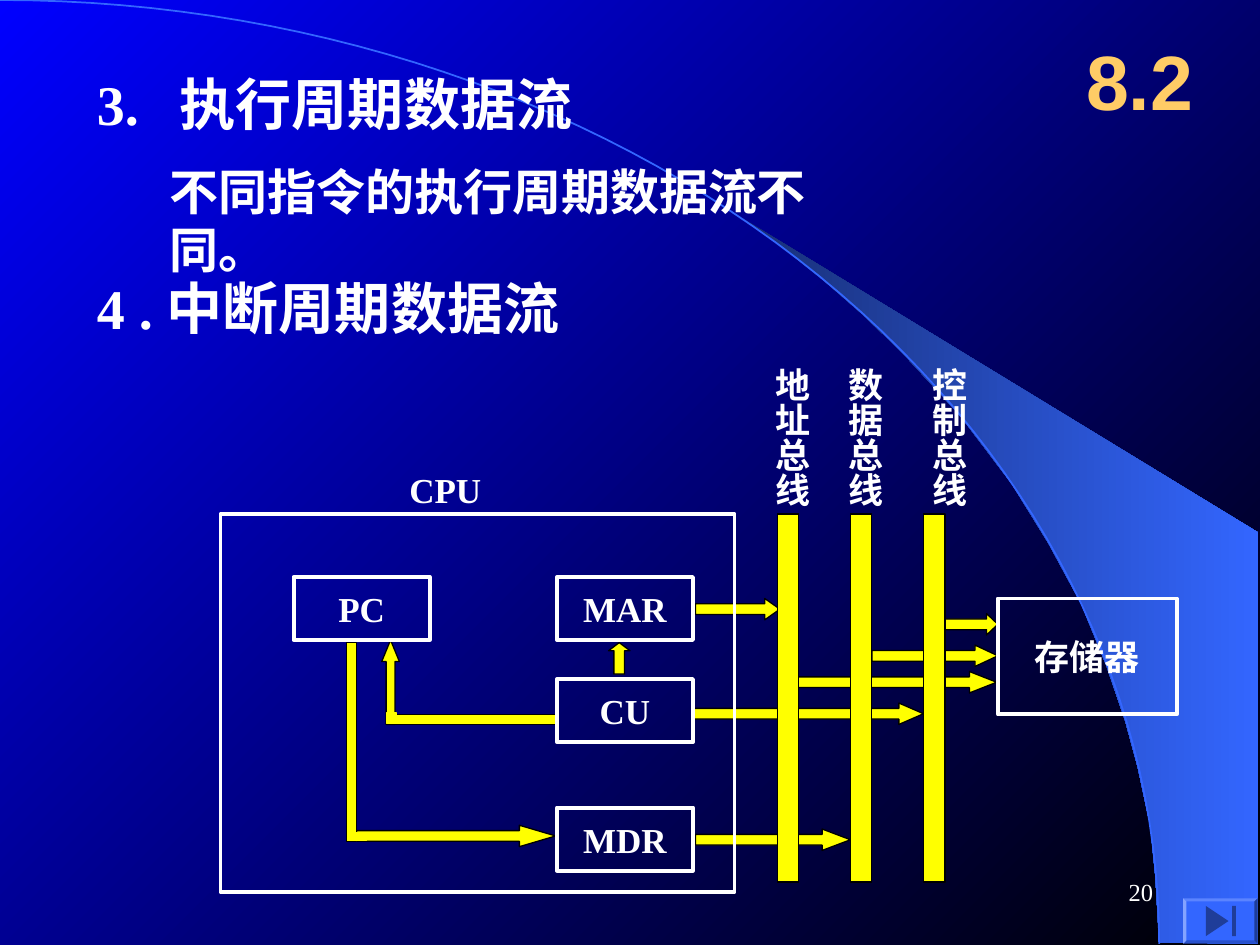
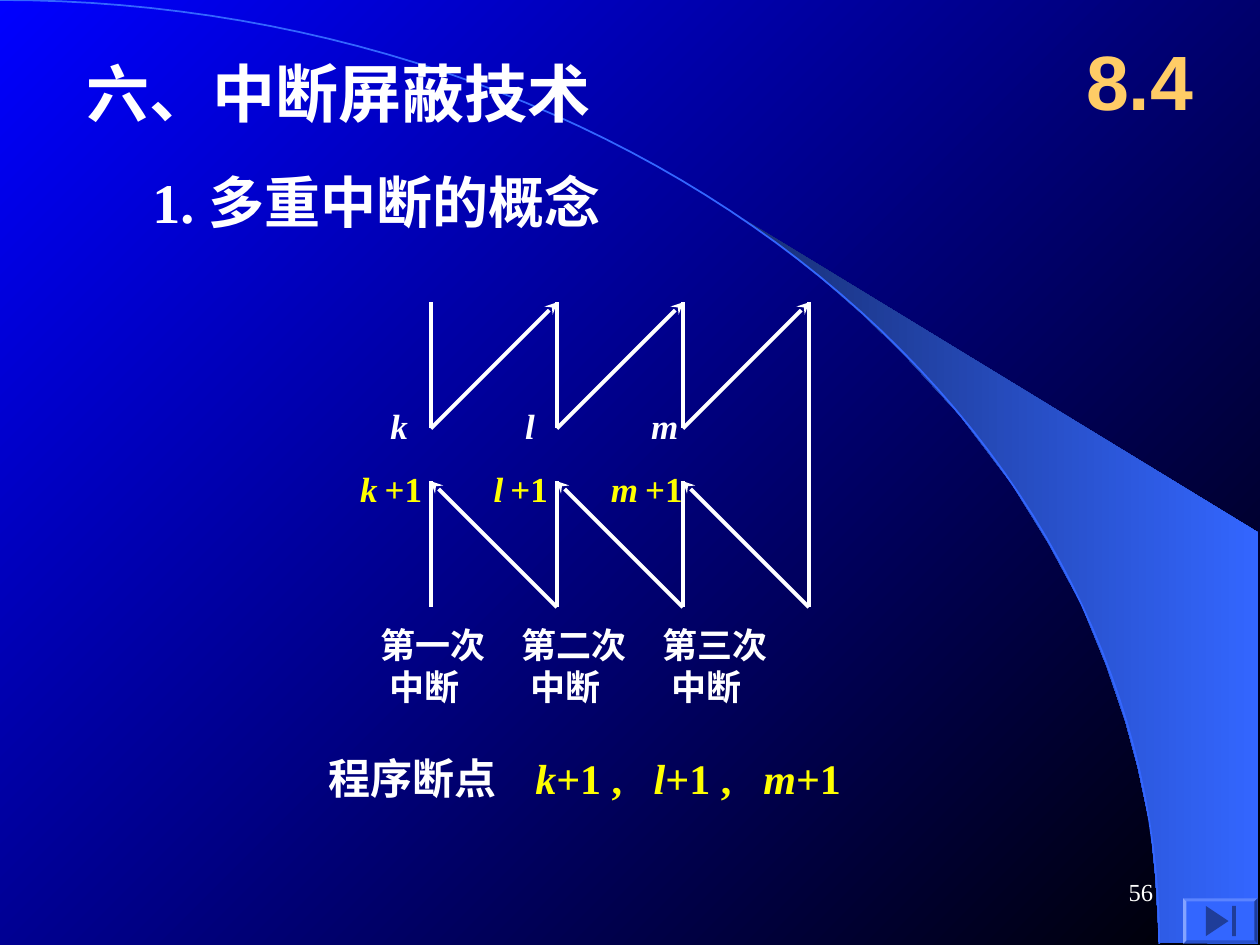
import math
from dataclasses import dataclass

from lxml import etree
from pptx import Presentation
from pptx import util as u
from pptx.dml import color as dml_color
from pptx.enum import shapes, text
from pptx.oxml import ns

COLORS = {
    "white": "FFFFFF", "yellow": "FFFF00", "black": "000000", "gold": "FFCC66",
    "blue": "0000FF", "band": "3366FF", "band_dark": "182F76", "icon": "1F3D99",
}
HEADING = {"size": 32, "bold": True}
SUBHEADING = {"size": 28, "bold": True}
SECTION = {"size": 36, "bold": True}
LABEL = {"size": 20, "bold": True}
VARIABLE = {**LABEL, "italic": True}
SUMMARY = {"size": 24, "bold": True}
PAGE = {"size": 14}
NUMBER = {"name": "Arial", "size": 44, "bold": True, "color": "gold"}
CENTERED = {"vertical_anchor": text.MSO_ANCHOR.MIDDLE, "word_wrap": True}
FITTED = {"word_wrap": False, "auto_size": text.MSO_AUTO_SIZE.SHAPE_TO_FIT_TEXT}
VERTICAL = {**FITTED, "margin_left": u.Inches(0.05), "margin_right": u.Inches(0.05),
            "margin_top": u.Inches(0.1), "margin_bottom": u.Inches(0.1)}
RECTANGLE = shapes.MSO_SHAPE.RECTANGLE
RIGHT = shapes.MSO_SHAPE.RIGHT_ARROW
UP = shapes.MSO_SHAPE.UP_ARROW


@dataclass
class Box:
    left: float
    top: float

    def point(self, x, y):
        return u.Inches(self.left + x), u.Inches(self.top + y)

    def area(self, x, y, width, height):
        return *self.point(x, y), u.Inches(width), u.Inches(height)


PAGE_BOX = Box(0, 0)


def rgb(name):
    return dml_color.RGBColor.from_string(COLORS[name])


def set_attributes(target, values):
    for name, value in values.items():
        setattr(target, name, value)


def write_runs(paragraph, runs, style):
    for content, changes in runs:
        run = paragraph.add_run()
        run.text = content
        values = {"name": "Times New Roman", "color": "white", **style, **changes}
        run.font.color.rgb = rgb(values.pop("color"))
        values["size"] = u.Pt(values["size"])
        set_attributes(run.font, values)


def write_line(frame, content, style, align=None):
    paragraph = frame.paragraphs[0]
    paragraph.alignment = align
    write_runs(paragraph, [(content, {})], style)


def set_tabs(paragraph, positions):
    tabs = etree.SubElement(paragraph._p.get_or_add_pPr(), ns.qn("a:tabLst"))
    for position in positions:
        etree.SubElement(tabs, ns.qn("a:tab"), pos=str(u.Inches(position)), algn="l")


def add_text_box(slide, area, frame_values):
    frame = slide.shapes.add_textbox(*area).text_frame
    set_attributes(frame, frame_values)
    return frame


def add_label(slide, area, content, style, frame_values=FITTED, align=None):
    frame = add_text_box(slide, area, frame_values)
    write_line(frame, content, style, align)
    return frame


def paint(shape, fill=None, line=None, width=0.75):
    shape.shadow.inherit = False
    if fill:
        shape.fill.solid()
        shape.fill.fore_color.rgb = rgb(fill)
    else:
        shape.fill.background()
    if line:
        shape.line.color.rgb = rgb(line)
        shape.line.width = u.Pt(width)
    else:
        shape.line.fill.background()


def apply_gradient(fill, names, angle):
    fill.gradient()
    fill.gradient_angle = angle
    for stop, name in zip(fill.gradient_stops, names):
        stop.color.rgb = rgb(name)


def add_outline(slide, points, close=True):
    corners = [PAGE_BOX.point(x, y) for x, y in points]
    builder = slide.shapes.build_freeform(*corners[0])
    builder.add_line_segments(corners[1:], close=close)
    return builder.convert_to_shape()


def add_bar(slide, area, line="black"):
    bar = slide.shapes.add_shape(RECTANGLE, *area)
    paint(bar, "yellow", line)


def add_arrow(slide, kind, area, head):
    arrow = slide.shapes.add_shape(kind, *area)
    arrow.adjustments[1] = head
    paint(arrow, "yellow", "black")


def add_frame(slide, area, content=""):
    shape = slide.shapes.add_shape(RECTANGLE, *area)
    paint(shape, line="white", width=2.25)
    if content:
        set_attributes(shape.text_frame, {**CENTERED, "word_wrap": False})
        write_line(shape.text_frame, content, LABEL, text.PP_ALIGN.CENTER)


def add_line(slide, start, end, arrow=False):
    line = slide.shapes.add_connector(shapes.MSO_CONNECTOR.STRAIGHT, *start, *end)
    line.line.color.rgb = rgb("white")
    line.line.width = u.Pt(2.25)
    if arrow:
        etree.SubElement(line.line._get_or_add_ln(), ns.qn("a:tailEnd"), type="stealth")
    etree.SubElement(line._element.spPr, ns.qn("a:effectLst"))


def decorate_master(master, slide):
    apply_gradient(master.background.fill, ("blue", "black"), 315)
    wedge = add_outline(slide, [
        (9.2, 7.48), (9.99, 7.49), (9.99, 4.23), (5.89, 1.73), (6.24, 1.99),
        (6.53, 2.22), (6.85, 2.5), (7.16, 2.8), (7.62, 3.3), (8.03, 3.84),
        (8.32, 4.31), (8.58, 4.79), (8.78, 5.28), (8.93, 5.72), (9.03, 6.09),
        (9.13, 6.56), (9.17, 6.96)])
    paint(wedge)
    apply_gradient(wedge.fill, ("band_dark", "band"), 0)

    steps = 60
    angles = [math.pi / 2 * step / steps for step in range(steps + 1)]
    arc = add_outline(slide, [(9.2 * math.sin(angle), 7.49 * (1 - math.cos(angle)))
                              for angle in angles], close=False)
    paint(arc, line="band", width=1)

    button = slide.shapes.add_shape(shapes.MSO_SHAPE.BEVEL,
                                    *PAGE_BOX.area(9.39, 7.13, 0.59, 0.36))
    button.adjustments[0] = 0.07
    paint(button, "band")
    triangle = add_outline(slide, [(9.75, 7.31), (9.57, 7.43), (9.57, 7.19)])
    stop = slide.shapes.add_shape(RECTANGLE, *PAGE_BOX.area(9.78, 7.19, 0.03, 0.24))
    for icon in (triangle, stop):
        paint(icon, "icon")
    for position, shape in enumerate((wedge, arc, button, triangle, stop), start=2):
        master.shapes.element.insert(position, shape._element)


def add_numbers(slide, section, page):
    title = slide.shapes.title
    area = PAGE_BOX.area(8.42, 0.17, 1.25, 0.92)
    set_attributes(title, dict(zip(("left", "top", "width", "height"), area)))
    set_attributes(title.text_frame, CENTERED)
    write_line(title.text_frame, section, NUMBER, text.PP_ALIGN.CENTER)
    add_label(slide, PAGE_BOX.area(7.17, 6.83, 2.08, 0.5), page, PAGE,
              CENTERED, text.PP_ALIGN.RIGHT)


def add_cycle_headings(slide, box):
    for x, y, width, height, content, style in (
            (0, 0, 6.25, 0.64, "3.\t执行周期数据流", HEADING),
            (0.58, 0.73, 5.5, 0.57, "不同指令的执行周期数据流不同。", SUBHEADING),
            (0, 1.62, 6.25, 0.64, "4 . 中断周期数据流", HEADING)):
        frame = add_label(slide, box.area(x, y, width, height), content, style,
                          {"word_wrap": True})
        if "\t" in content:
            set_tabs(frame.paragraphs[0], [0.66])


def add_cpu_diagram(slide, box):
    for x, y, length, head in (
            (3.77, 1.88, 0.67, 0.71), (1.08, 3.68, 1.58, 1.69),
            (3.77, 3.71, 1.23, 1.32), (5.17, 2.25, 1, 1.07),
            (3.75, 2.71, 1.83, 1.15), (4.58, 2.46, 1.58, 1.27),
            (5.67, 2, 0.5, 0.53)):
        add_arrow(slide, RIGHT, box.area(x, y, length, 0.17), head)
    add_arrow(slide, UP, box.area(1.28, 2.21, 0.14, 0.67), 1.22)
    add_arrow(slide, UP, box.area(3.08, 2.23, 0.17, 0.25), 0.38)
    for bend in ((1, 2.23, 0.08, 1.58), (1.36, 2.8, 1.3, 0.08)):
        add_bar(slide, box.area(*bend))
    for joint in ((1.06, 3.74, 0.1, 0.06), (4.55, 2.52, 0.08, 0.05),
                  (1.32, 2.79, 0.08, 0.08)):
        add_bar(slide, box.area(*joint), "yellow")

    for x, y, register in ((0.58, 1.71, "PC"), (2.67, 1.71, "MAR"),
                           (2.67, 2.52, "CU"), (2.67, 3.54, "MDR")):
        add_frame(slide, box.area(x, y, 1.08, 0.5), register)
    add_frame(slide, box.area(6.17, 1.88, 1.42, 0.92), "存储器")
    for index, (label_x, bus) in enumerate(
            ((4.22, "地址总线"), (4.8, "数据总线"), (5.47, "控制总线"))):
        add_bar(slide, box.area(4.42 + 0.58 * index, 1.21, 0.17, 2.92))
        frame = add_label(slide, box.area(label_x, -0.05, 0.53, 1.22), bus, LABEL,
                          VERTICAL)
        frame._txBody.bodyPr.set("vert", "eaVert")
    add_frame(slide, box.area(0, 1.21, 4.08, 3))
    add_label(slide, box.area(1.4, 0.8, 0.77, 0.44), "CPU", LABEL)


def add_interrupt_headings(slide, box):
    add_label(slide, box.area(0, 0, 4.2, 0.7), "六、中断屏蔽技术", SECTION)
    margins = dict.fromkeys(
        ("margin_left", "margin_right", "margin_top", "margin_bottom"), 0)
    add_label(slide, box.area(0.62, 0.98, 4.5, 0.47), "1. 多重中断的概念", HEADING,
              {**CENTERED, **margins})


def add_nested_interrupts(slide, box):
    columns = [0.91 + index for index in range(4)]
    top, call, resume, bottom = 0, 1, 1.42, 2.42
    for column, following in zip(columns, columns[1:]):
        for start, end, arrow in (
                ((column, top), (column, call), False),
                ((column, call), (following, top), True),
                ((following, bottom), (column, resume), True),
                ((column, resume), (column, bottom), False)):
            add_line(slide, box.point(*start), box.point(*end), arrow)
    add_line(slide, box.point(columns[-1], top), box.point(columns[-1], bottom))

    for index, (name, x, width, next_x, next_width, ordinal) in enumerate((
            ("k", 0.49, 0.34, 0.25, 0.69, "第一次"),
            ("l", 1.56, 0.27, 1.31, 0.63, "第二次"),
            ("m", 2.56, 0.41, 2.24, 0.77, "第三次"))):
        add_label(slide, box.area(x, 0.76, width, 0.44), name, VARIABLE)
        frame = add_text_box(slide, box.area(next_x, 1.26, next_width, 0.44), FITTED)
        write_runs(frame.paragraphs[0],
                   [(name, {"italic": True}), (" ", {"size": 16}), ("+1", {})],
                   {**LABEL, "color": "yellow"})
        frame = add_label(slide, box.area(0.41 + 1.12 * index, 2.5, 1.12, 0.77),
                          ordinal, LABEL, {"word_wrap": True})
        paragraph = frame.add_paragraph()
        paragraph._p.get_or_add_pPr().set("marL", str(u.Inches(0.07)))
        write_runs(paragraph, [("中断", {})], LABEL)


def add_breakpoints(slide, box):
    frame = add_text_box(slide, box.area(0, 0, 4.82, 0.5), {"word_wrap": True})
    paragraph = frame.paragraphs[0]
    set_tabs(paragraph, [1.64, 2.58, 3.45])
    write_runs(paragraph, [("程序断点\t", {})], SUMMARY)
    for name, ending in (("k", "+1 ,\t"), ("l", "+1 ,\t"), ("m", "+1")):
        write_runs(paragraph, [(name, {"italic": True}), (ending, {})],
                   {**SUMMARY, "color": "yellow"})


def main():
    presentation = Presentation()
    presentation.slide_width = u.Inches(10)
    presentation.slide_height = u.Inches(7.5)
    title_only = presentation.slide_layouts.get_by_name("Title Only")

    cycles = presentation.slides.add_slide(title_only)
    decorate_master(presentation.slide_master, cycles)
    add_numbers(cycles, "8.2", "20")
    add_cycle_headings(cycles, Box(0.67, 0.5))
    add_cpu_diagram(cycles, Box(1.75, 2.87))

    interrupts = presentation.slides.add_slide(title_only)
    add_numbers(interrupts, "8.4", "56")
    add_interrupt_headings(interrupts, Box(0.59, 0.38))
    add_nested_interrupts(interrupts, Box(2.51, 2.4))
    add_breakpoints(interrupts, Box(2.51, 5.92))
    presentation.save("out.pptx")


if __name__ == "__main__":
    main()
